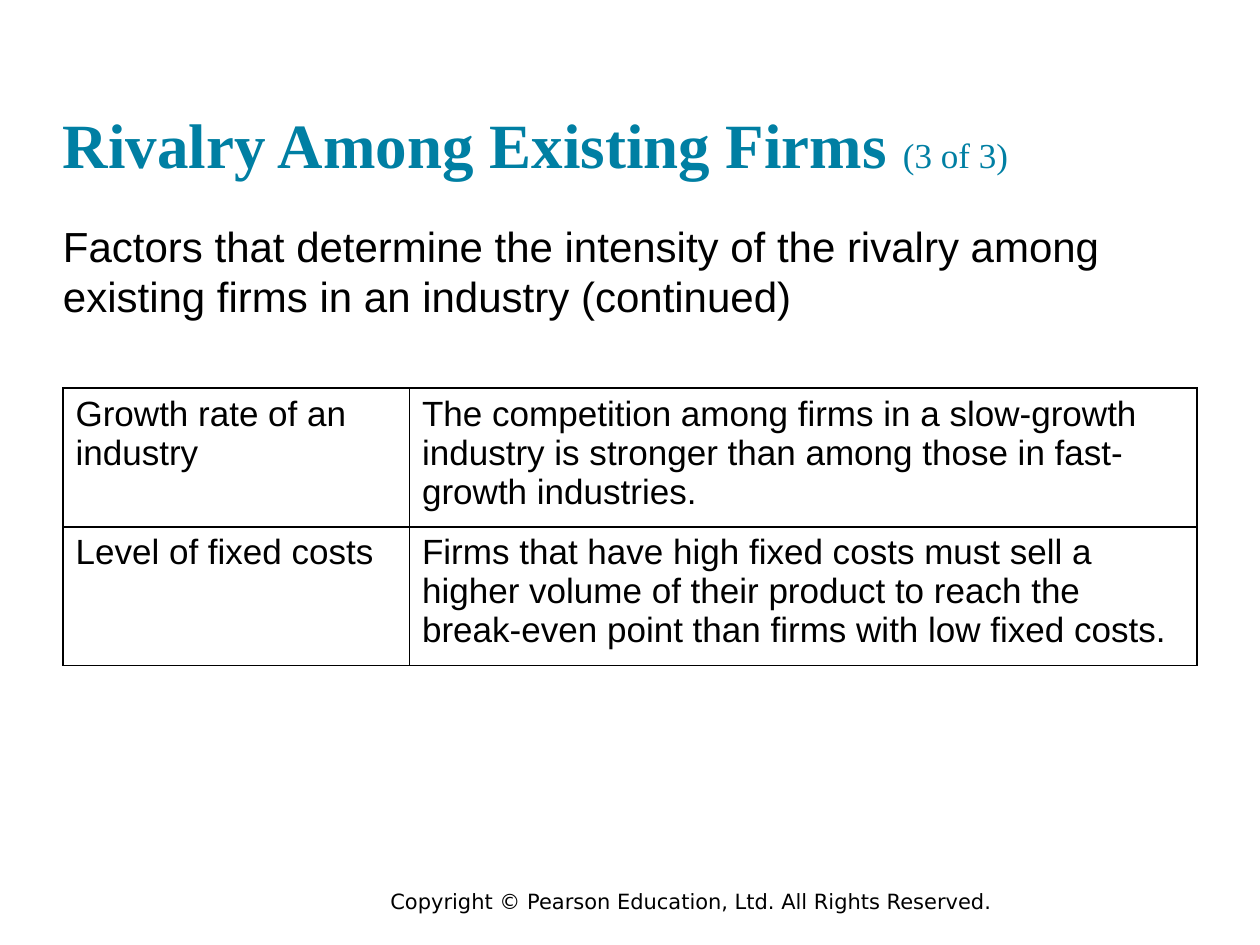
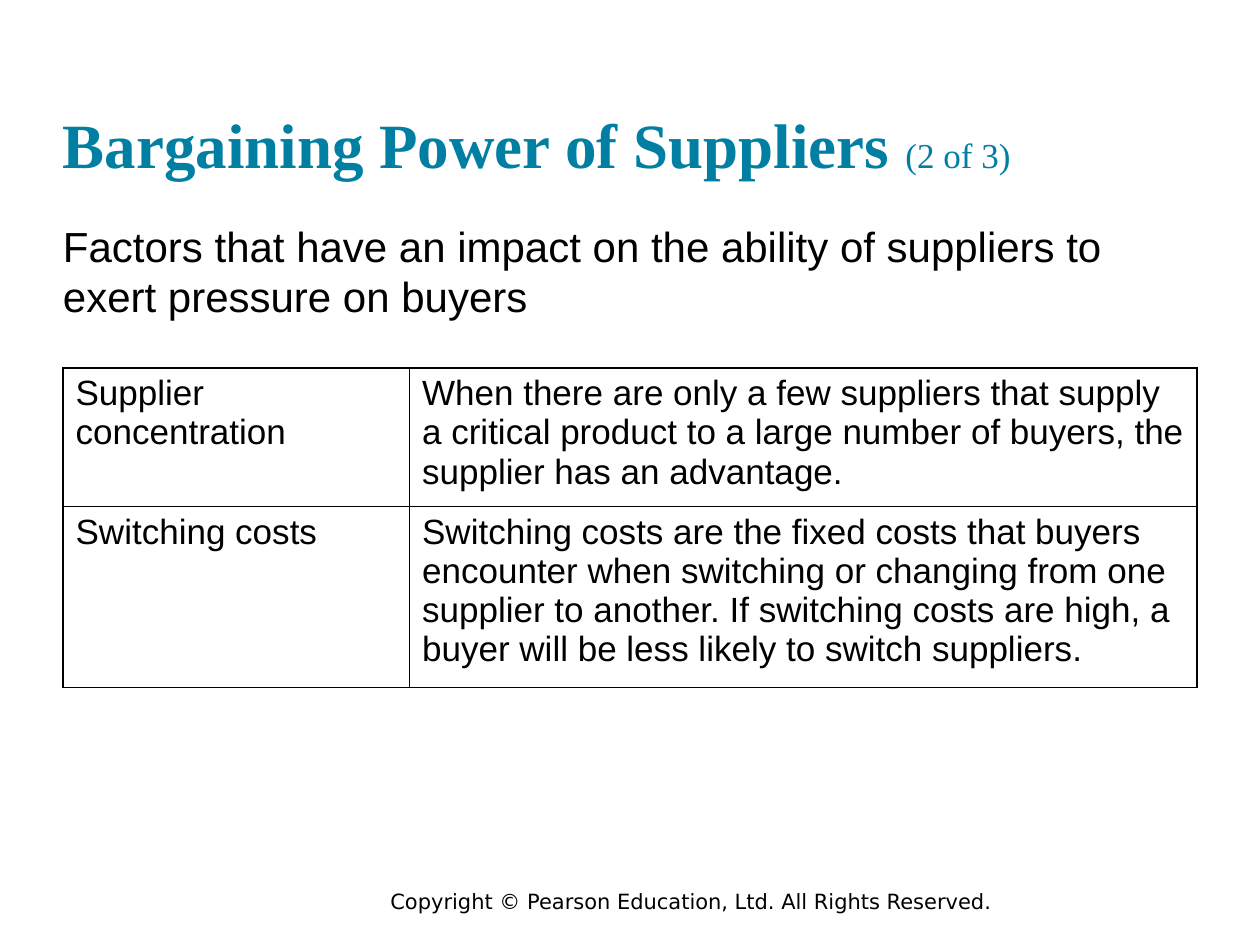
from dataclasses import dataclass

from lxml.etree import SubElement
from pptx import Presentation
from pptx.dml.color import RGBColor
from pptx.enum.text import MSO_ANCHOR
from pptx.oxml.ns import qn
from pptx.util import Inches, Pt


@dataclass(frozen=True)
class Theme:
    title_color: RGBColor = RGBColor(0x00, 0x7F, 0xA3)
    ink: RGBColor = RGBColor(0x00, 0x00, 0x00)
    paper: RGBColor = RGBColor(0xFF, 0xFF, 0xFF)
    title_font: str = "Times New Roman"
    body_font: str = "Arial"
    footer_font: str = "DejaVu Sans"
    title_size: Pt = Pt(36)
    counter_size: Pt = Pt(20)
    lead_size: Pt = Pt(24)
    table_size: Pt = Pt(20)
    footer_size: Pt = Pt(12)
    border_width: Pt = Pt(1)


@dataclass(frozen=True)
class Factor:
    name: str
    effect: str
    height: float


@dataclass(frozen=True)
class FactorPage:
    title: str
    counter: str
    lead: str
    table_top: float
    factors: tuple[Factor, ...]


THEME = Theme()
LEFT, WIDTH = 0.5, 9
COLUMN_WIDTHS = (2.75, 6.25)
FOOTER = "Copyright © Pearson Education, Ltd. All Rights Reserved."

PAGES = (
    FactorPage(
        "Rivalry Among Existing Firms ", "(3 of 3)",
        "Factors that determine the intensity of the rivalry among existing firms "
        "in an industry (continued)",
        3.08,
        (
            Factor("Growth rate of an industry",
                   "The competition among firms in a slow-growth industry is stronger "
                   "than among those in fast-growth industries.", 1.03),
            Factor("Level of fixed costs",
                   "Firms that have high fixed costs must sell a higher volume of their "
                   "product to reach the break-even point than firms with low fixed costs.",
                   1.03),
        ),
    ),
    FactorPage(
        "Bargaining Power of Suppliers ", "(2 of 3)",
        "Factors that have an impact on the ability of suppliers to exert pressure on buyers",
        2.92,
        (
            Factor("Supplier concentration",
                   "When there are only a few suppliers that supply a critical product to "
                   "a large number of buyers, the supplier has an advantage.", 1.03),
            Factor("Switching costs",
                   "Switching costs are the fixed costs that buyers encounter when "
                   "switching or changing from one supplier to another. If switching costs "
                   "are high, a buyer will be less likely to switch suppliers.", 1.34),
        ),
    ),
)


def set_font(font, name: str, size: Pt, color: RGBColor) -> None:
    font.name, font.size = name, size
    font.color.rgb = color


def add_box(page, left: float, top: float, width: float, height: float,
            inset: bool = False):
    """Add a wrapping text box and return its text frame."""
    box = page.shapes.add_textbox(Inches(left), Inches(top), Inches(width), Inches(height))
    frame = box.text_frame
    frame.word_wrap = True
    if not inset:
        frame.margin_left = frame.margin_right = Inches(0)
        frame.margin_top = frame.margin_bottom = Inches(0)
    return frame


def add_title(page, title: str, counter: str) -> None:
    frame = add_box(page, LEFT, 0.24, WIDTH, 1.2)
    frame.vertical_anchor = MSO_ANCHOR.BOTTOM
    for text, size, bold in ((title, THEME.title_size, True),
                             (counter, THEME.counter_size, False)):
        span = frame.paragraphs[0].add_run()
        span.text = text
        set_font(span.font, THEME.title_font, size, THEME.title_color)
        span.font.bold = bold


def add_lead(page, text: str) -> None:
    para = add_box(page, LEFT, 1.75, WIDTH, 0.83).paragraphs[0]
    para.text = text
    set_font(para.font, THEME.body_font, THEME.lead_size, THEME.ink)


def add_footer(page) -> None:
    para = add_box(page, 3, 7, 6.67, 0.3, inset=True).paragraphs[0]
    para.text = FOOTER
    set_font(para.font, THEME.footer_font, THEME.footer_size, THEME.ink)


def add_borders(cell) -> None:
    properties = cell._tc.get_or_add_tcPr()
    for side in ("a:lnL", "a:lnR", "a:lnT", "a:lnB"):
        line = SubElement(properties, qn(side), w=str(THEME.border_width))
        fill = SubElement(line, qn("a:solidFill"))
        SubElement(fill, qn("a:srgbClr"), val=str(THEME.ink))


def fill_cell(cell, text: str) -> None:
    add_borders(cell)
    cell.fill.solid()
    cell.fill.fore_color.rgb = THEME.paper
    para = cell.text_frame.paragraphs[0]
    para.text = text
    set_font(para.font, THEME.body_font, THEME.table_size, THEME.ink)


def add_factor_table(page, top: float, factors: tuple[Factor, ...]) -> None:
    height = sum(factor.height for factor in factors)
    table = page.shapes.add_table(len(factors), len(COLUMN_WIDTHS), Inches(LEFT),
                                  Inches(top), Inches(WIDTH), Inches(height)).table
    table.first_row = table.horz_banding = False
    for column, width in zip(table.columns, COLUMN_WIDTHS):
        column.width = Inches(width)
    for row, factor in zip(table.rows, factors):
        row.height = Inches(factor.height)
        for cell, text in zip(row.cells, (factor.name, factor.effect)):
            fill_cell(cell, text)


def main() -> None:
    deck = Presentation()
    deck.slide_width, deck.slide_height = Inches(10), Inches(7.5)
    for content in PAGES:
        page = deck.slides.add_slide(deck.slide_layouts[6])
        add_footer(page)
        add_title(page, content.title, content.counter)
        add_lead(page, content.lead)
        add_factor_table(page, content.table_top, content.factors)
    deck.save("out.pptx")


if __name__ == "__main__":
    main()
